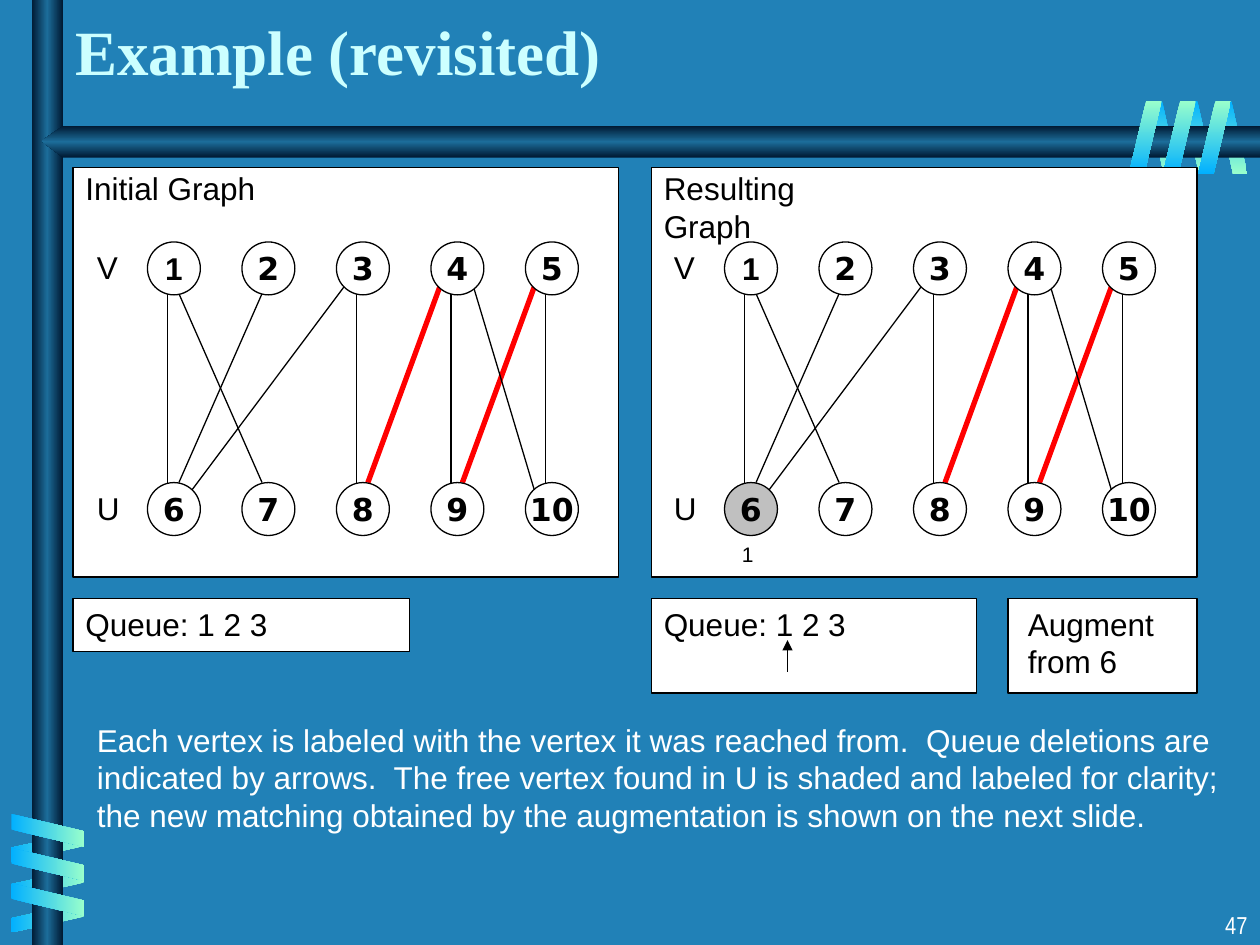
from lxml.etree import SubElement
from pptx import Presentation
from pptx.dml.color import RGBColor
from pptx.enum.shapes import MSO_CONNECTOR, MSO_SHAPE
from pptx.enum.text import MSO_ANCHOR, MSO_AUTO_SIZE, PP_ALIGN
from pptx.oxml.ns import qn
from pptx.util import Inches, Pt

rgb = RGBColor.from_string
BLACK, WHITE, RED, GREY = "000000", "FFFFFF", "FF0000", "C0C0C0"
MINT, AZURE = "99FFCC", "01B0FF"
BAR = ("001932", "1C6D9A", "001932")

prs = Presentation()
prs.slide_width, prs.slide_height = Inches(10), Inches(7.5)
s = prs.slides.add_slide(prs.slide_layouts[6])
s.background.fill.solid()
s.background.fill.fore_color.rgb = rgb("2181B7")


def paint(sp, *colors, angle=0):
    """One colour gives a black-outlined solid, several an unlined gradient (clockwise angle)."""
    sp.shadow.inherit = False
    if len(colors) == 1:
        sp.fill.solid()
        sp.fill.fore_color.rgb = rgb(colors[0])
        sp.line.color.rgb = rgb(BLACK)
        sp.line.width = Pt(0.75)
        return
    sp.line.fill.background()
    sp.fill.gradient()
    sp.fill.gradient_angle = (360 - angle) % 360
    grad = sp._element.spPr.find(qn("a:gradFill"))
    grad.set("rotWithShape", "0")
    stops = grad.find(qn("a:gsLst"))
    for old in list(stops):
        stops.remove(old)
    for i, color in enumerate(colors):
        stop = SubElement(stops, qn("a:gs"), pos=str(100000 * i // (len(colors) - 1)))
        SubElement(stop, qn("a:srgbClr"), val=color)


def write(tf, text, align=PP_ALIGN.LEFT, anchor=MSO_ANCHOR.TOP, wrap=True, color=BLACK, **font):
    tf.word_wrap = wrap
    tf.vertical_anchor = anchor
    for i, line in enumerate(text.split("\n")):
        p = tf.add_paragraph() if i else tf.paragraphs[0]
        p.alignment = align
        r = p.add_run()
        r.text = line
        r.font.color.rgb = rgb(color)
        for name, value in {"name": "Arial", "size": Pt(18), **font}.items():
            setattr(r.font, name, value)


# Ribbon coils pass behind and in front of the two bars
back_coils = [(x, 0.8, 0.24, 0, (AZURE, MINT), 90, True) for x in (9.66, 9.39, 9.11)]
back_coils += [(0.26, y, 0.24, 90, (MINT, AZURE), 0, True) for y in (6.43, 6.72, 6.99)]
front_coils = [(0.25, y, 0.26, 270, (AZURE, MINT), 0, False) for y in (6.3, 6.57, 6.85)]
front_coils += [(x, 0.8, 0.26, 0, (MINT, AZURE), 90, False) for x in (9.51, 9.23, 8.96)]

for coils in (back_coils, front_coils):
    if coils is front_coils:
        sp = s.shapes.add_shape(MSO_SHAPE.RECTANGLE, Inches(0.25), 0, Inches(0.25), Inches(7.5))
        paint(sp, *BAR)
        builder = s.shapes.build_freeform(Inches(10), Inches(1))
        points = [(0.5, 1), (0.33, 1.12), (0.5, 1.25), (10, 1.25)]
        builder.add_line_segments([(Inches(x), Inches(y)) for x, y in points])
        paint(builder.convert_to_shape(), *BAR, angle=90)
    for x, y, w, rotation, colors, angle, flipped in coils:
        sp = s.shapes.add_shape(MSO_SHAPE.PARALLELOGRAM, Inches(x), Inches(y), Inches(w), Inches(0.58))
        sp.adjustments[0] = 0.53
        sp.rotation = rotation
        if flipped:
            sp._element.spPr.find(qn("a:xfrm")).set("flipH", "1")
        paint(sp, *colors, angle=angle)

# White panels
for box in [(0.58, 1.33, 4.33, 3.25), (5.17, 1.33, 4.33, 3.25), (0.58, 4.75, 2.67, 0.42),
            (5.17, 4.75, 2.58, 0.75), (8, 4.75, 1.5, 0.75)]:
    paint(s.shapes.add_shape(MSO_SHAPE.RECTANGLE, *map(Inches, box)), WHITE)

# Edges and vertices of both graphs
PITCH, GRAPH_STEP, NODE = 0.75, 4.58, 0.42
edges = [(1.33 + PITCH * i, 2.33, 1.33 + PITCH * i, 3.83, BLACK, 0.75) for i in (0, 2, 3, 4)]
edges += [
    (1.42, 2.33, 2.08, 3.83, BLACK, 0.75),
    (2.08, 2.33, 1.42, 3.83, BLACK, 0.75),
    (2.75, 2.25, 1.5, 3.92, BLACK, 0.75),
    (3.5, 2.25, 2.92, 3.83, RED, 3),
    (4.25, 2.25, 3.67, 3.83, RED, 3),
    (3.75, 2.25, 4.25, 3.92, BLACK, 0.75),
]
lines = [(x1 + dx, y1, x2 + dx, y2, color, width)
         for dx in (0, GRAPH_STEP) for x1, y1, x2, y2, color, width in edges]
queue_arrow = (6.25, 5.33, 6.25, 5.08, BLACK, 0.75)
for line in lines + [queue_arrow]:
    *ends, color, width = line
    cn = s.shapes.add_connector(MSO_CONNECTOR.STRAIGHT, *map(Inches, ends))
    cn.line.color.rgb = rgb(color)
    cn.line.width = Pt(width)
    SubElement(cn._element.spPr, qn("a:effectLst"))
    if line is queue_arrow:
        SubElement(cn.line._get_or_add_ln(), qn("a:tailEnd"), type="triangle")

for dx, shaded in ((0, None), (GRAPH_STEP, 6)):
    for vertex in range(1, 11):
        row, col = divmod(vertex - 1, 5)
        sp = s.shapes.add_shape(MSO_SHAPE.OVAL, Inches(1.17 + dx + PITCH * col),
                                Inches((1.92, 3.83)[row]), Inches(NODE), Inches(NODE))
        paint(sp, GREY if vertex == shaded else WHITE)
        write(sp.text_frame, str(vertex), PP_ALIGN.CENTER, MSO_ANCHOR.MIDDLE, wrap=False,
              name="Arial" if vertex == 1 else "DejaVu Sans", bold=True)

# Labels that size themselves to their text
labels = [
    ("Initial Graph", 0.58, 1.29, 1.55, 0.4, 18),
    ("Resulting Graph", 5.17, 1.29, 2, 0.4, 18),
    ("1", 5.79, 4.25, 0.29, 0.3, 12),
    ("Augment\nfrom 6", 8.06, 4.75, 1.27, 0.7, 18),
]
for x in (0.67, 5.25):
    labels += [("V", x, 1.92, 0.36, 0.4, 18), ("U", x, 3.83, 0.38, 0.4, 18)]
for text, *box, size in labels:
    tf = s.shapes.add_textbox(*map(Inches, box)).text_frame
    write(tf, text, wrap=False, size=Pt(size))
    tf.auto_size = MSO_AUTO_SIZE.SHAPE_TO_FIT_TEXT

# Wrapped text
explanation = (
    "Each vertex is labeled with the vertex it was reached from.  Queue deletions are "
    "indicated by arrows.  The free vertex found in U is shaded and labeled for clarity; "
    "the new matching obtained by the augmentation is shown on the next slide."
)
for text, box, style in [
    ("Example (revisited)", (0.5, 0, 9.5, 0.75),
     dict(anchor=MSO_ANCHOR.BOTTOM, color="CCFFFF", name="Times New Roman", size=Pt(36), bold=True)),
    ("Queue: 1 2 3", (0.58, 4.75, 2.06, 0.4), {}),
    ("Queue: 1 2 3", (5.17, 4.75, 2.06, 0.4), {}),
    (explanation, (0.67, 5.67, 9.33, 1.3), dict(color=WHITE)),
    ("47", (7.92, 7.17, 2.08, 0.33),
     dict(align=PP_ALIGN.RIGHT, color=WHITE, name="Arial Narrow", size=Pt(14))),
]:
    write(s.shapes.add_textbox(*map(Inches, box)).text_frame, text, **style)

prs.save("out.pptx")
